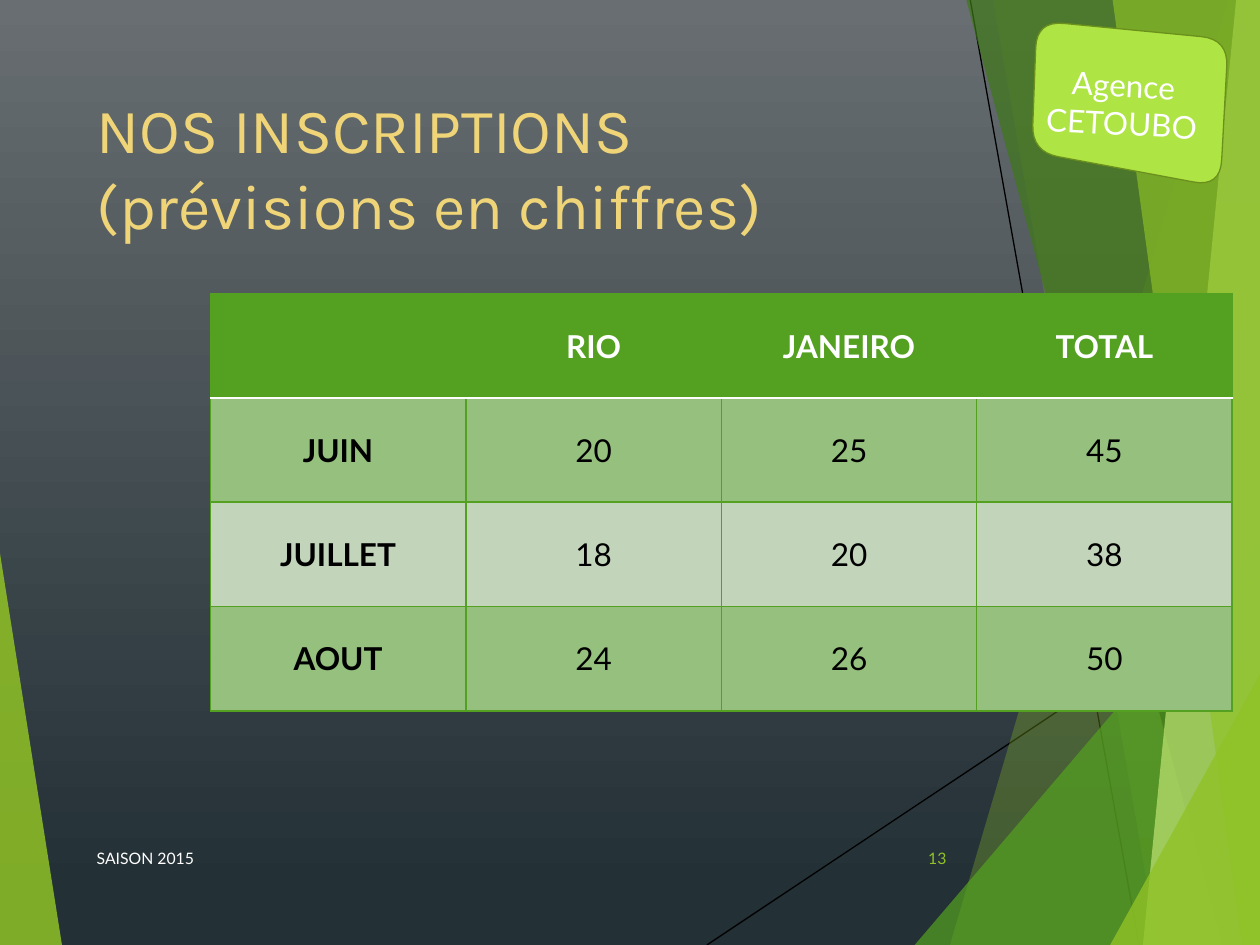
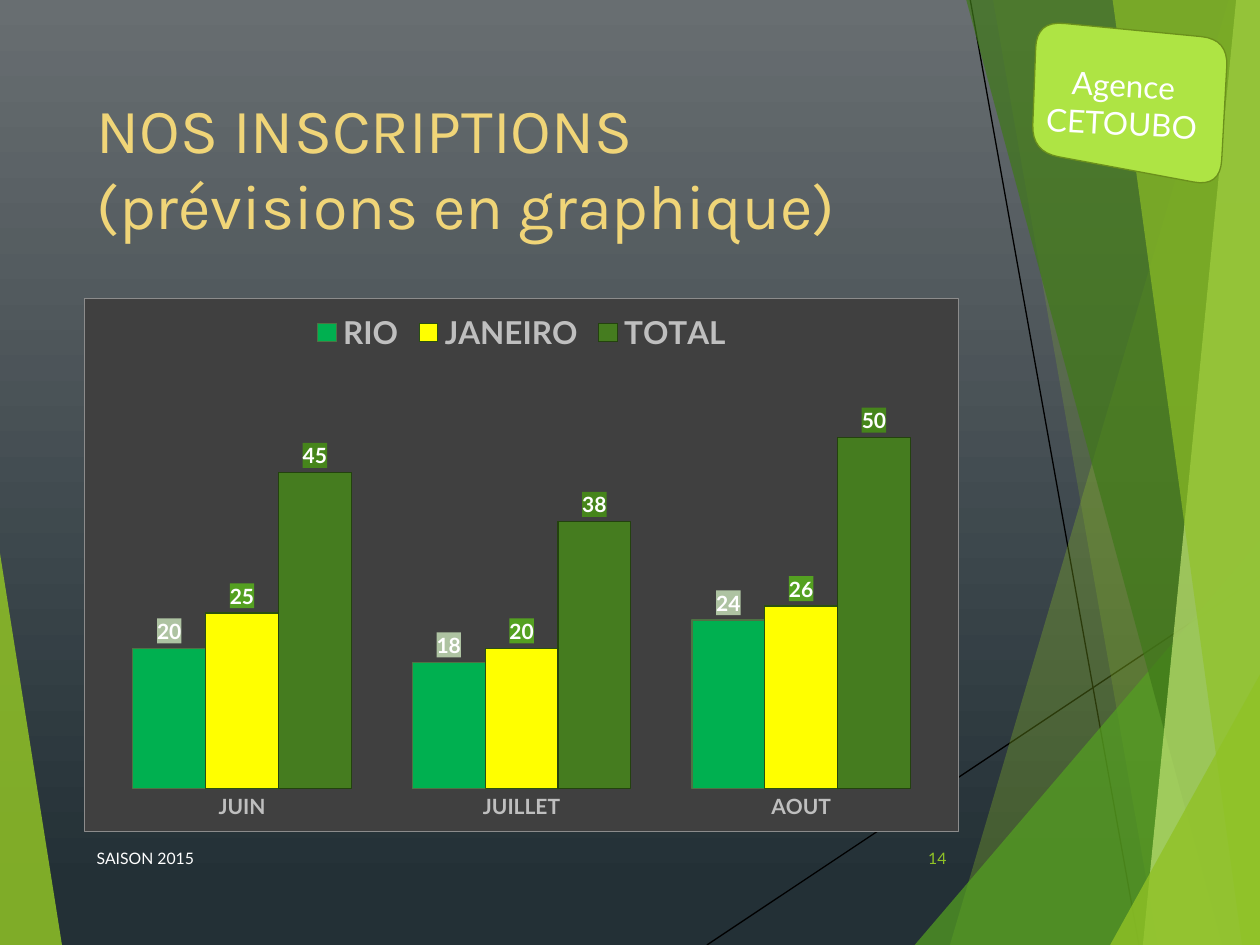
from collections import namedtuple

from lxml import etree
from pptx import Presentation
from pptx.chart.data import CategoryChartData
from pptx.dml.color import RGBColor
from pptx.enum import chart as charts, shapes, text
from pptx.oxml import parse_xml
from pptx.oxml.ns import nsdecls, qn
from pptx.util import Cm, Pt

Box = namedtuple("Box", "left top width height")

WIDTH, HEIGHT = 25.4, 19.05
TITLE_BOX = Box(1.7, 1.7, 17.63, 3.66)
BADGE_BOX = Box(20.8, 0.42, 3.96, 3.35)
FOOTER_BOX = Box(1.7, 16.79, 17.63, 1.02)
TABLE_BOX = Box(4.24, 5.92, 20.6, 8.41)
CHART_BOX = Box(1.7, 6.0, 17.63, 10.77)

TITLE_FONT, BODY_FONT = "Karla", "Lato"

WHITE = RGBColor(0xFF, 0xFF, 0xFF)
BLACK = RGBColor(0, 0, 0)
SKY = RGBColor(0x68, 0x6E, 0x71)
NIGHT = RGBColor(0x23, 0x30, 0x36)
GOLD = RGBColor(0xF0, 0xD5, 0x78)
LIME = RGBColor(0x90, 0xC2, 0x26)
GREEN = RGBColor(0x54, 0xA0, 0x21)
FOREST = RGBColor(0x3F, 0x78, 0x19)
PALE_LIME = RGBColor(0xC0, 0xE4, 0x74)
BADGE_FILL = RGBColor(0xAE, 0xE4, 0x44)
BADGE_LINE = RGBColor(0x6B, 0x90, 0x1C)
BAND_DARK = RGBColor(0x95, 0xC0, 0x7D)
BAND_LIGHT = RGBColor(0xC2, 0xD5, 0xBB)
CHART_FILL = RGBColor(0x40, 0x40, 0x40)
CHART_LINE = RGBColor(0x8C, 0x8C, 0x8C)
CHART_TEXT = RGBColor(0xBF, 0xBF, 0xBF)

# Fill, opacity in percent, corners in cm
LEFT_SHARD = (LIME, 85, [(0, 11.15), (1.25, HEIGHT), (0, HEIGHT)])
RIGHT_SHARDS = [
    (LIME, 30, [(24.77, 0), (19.15, HEIGHT)]),
    (LIME, 20, [(20.02, 0), (23.34, HEIGHT)]),
    (GREEN, 72, [(25.4, 10.9), (18.44, HEIGHT)]),
    (FOREST, 70, [(19.48, 0), (24.64, HEIGHT)]),
    (PALE_LIME, 70, [(24.92, 0), (23.04, HEIGHT)]),
    (LIME, 65, [(22.43, 0), (25.04, HEIGHT)]),
    (LIME, 80, [(25.4, 13.6), (22.38, HEIGHT)]),
]
RAYS = [(14.25, HEIGHT, WIDTH, 11.62), (19.56, 0, 22.96, HEIGHT)]

MONTHS = ["JUIN", "JUILLET", "AOUT"]
# Name, values, bar fill, bar line, label fill
SERIES = [
    ("RIO", [20, 18, 24], RGBColor(0x00, 0xB0, 0x50),
     RGBColor(0x4E, 0x72, 0x44), RGBColor(0xAE, 0xC3, 0xA2)),
    ("JANEIRO", [25, 20, 26], RGBColor(0xFF, 0xFF, 0x00),
     RGBColor(0x2A, 0x50, 0x10), GREEN),
    ("TOTAL", [45, 38, 50], RGBColor(0x45, 0x7C, 0x1F),
     RGBColor(0x23, 0x42, 0x0E), RGBColor(0x46, 0x85, 0x1B)),
]


def in_cm(values):
    return [Cm(value) for value in values]


def style_font(font, size, colour, bold=False, name=BODY_FONT):
    font.size, font.bold, font.name = Pt(size), bold, name
    font.color.rgb = colour


def add_text(slide, box, content, size, colour, name=BODY_FONT,
             align=text.PP_ALIGN.LEFT, anchor=text.MSO_ANCHOR.MIDDLE):
    shape = slide.shapes.add_textbox(*in_cm(box))
    frame = shape.text_frame
    frame.word_wrap = True
    frame.vertical_anchor = anchor
    paragraph = frame.paragraphs[0]
    paragraph.text = content
    paragraph.alignment = align
    style_font(paragraph.font, size, colour, name=name)
    return shape


def add_polygon(slide, points, colour, opacity=100):
    points = [in_cm(point) for point in points]
    builder = slide.shapes.build_freeform(*points[0])
    builder.add_line_segments(points[1:], close=True)
    shape = builder.convert_to_shape()
    shape.shadow.inherit = False
    shape.fill.solid()
    shape.fill.fore_color.rgb = colour
    shape.line.fill.background()
    if opacity < 100:
        fill_colour = shape._element.spPr.find(".//" + qn("a:srgbClr"))
        etree.SubElement(fill_colour, qn("a:alpha"), val=str(opacity * 1000))
    return shape


def add_backdrop(slide):
    fill = slide.background.fill
    fill.gradient()
    fill.gradient_angle = 270
    for stop, colour, position in zip(fill.gradient_stops, (SKY, NIGHT), (0, 0.94)):
        stop.color.rgb = colour
        stop.position = position

    colour, opacity, points = LEFT_SHARD
    add_polygon(slide, points, colour, opacity)
    for ray in RAYS:
        line = slide.shapes.add_connector(shapes.MSO_CONNECTOR.STRAIGHT, *in_cm(ray))
        line.line.color.rgb = BLACK
        line.line.width = Pt(0.75)
        etree.SubElement(line._element.spPr, qn("a:effectLst"))
    for colour, opacity, (top, bottom) in RIGHT_SHARDS:
        edge = [(WIDTH, HEIGHT), (WIDTH, top[1])]
        add_polygon(slide, [top, bottom] + edge, colour, opacity)


def round_corners(corners, radius, steps=8):
    """Replace each corner by points along a quadratic curve."""
    points = []
    for index, (x, y) in enumerate(corners):
        ends = []
        for other_x, other_y in (corners[index - 1], corners[(index + 1) % len(corners)]):
            dx, dy = other_x - x, other_y - y
            share = radius / (dx * dx + dy * dy) ** 0.5
            ends.append((x + dx * share, y + dy * share))
        for step in range(steps + 1):
            t = step / steps
            points.append(tuple(
                (1 - t) ** 2 * start + 2 * t * (1 - t) * middle + t * t * end
                for start, middle, end in zip(ends[0], (x, y), ends[1])))
    return points


def add_badge(slide, box):
    corners = [(0.1, 0), (box.width, 0.37), (3.8, box.height), (0, 2.64)]
    corners = [(box.left + x, box.top + y) for x, y in corners]
    plate = add_polygon(slide, round_corners(corners, 0.55), BADGE_FILL)
    plate.line.color.rgb = BADGE_LINE
    plate.line.width = Pt(0.75)
    label = add_text(slide, box._replace(left=box.left - 0.15), "Agence CETOUBO",
                     18, WHITE, align=text.PP_ALIGN.CENTER)
    label.rotation = 3


def add_footer(slide, box, number):
    add_text(slide, box._replace(width=12.85), "SAISON 2015", 9, WHITE)
    number_width = 1.42
    number_box = box._replace(left=box.left + box.width - number_width, width=number_width)
    add_text(slide, number_box, str(number), 9, LIME, align=text.PP_ALIGN.RIGHT)


def add_base_slide(presentation, title, number):
    slide = presentation.slides.add_slide(presentation.slide_layouts[6])
    add_backdrop(slide)
    add_badge(slide, BADGE_BOX)
    add_text(slide, TITLE_BOX, title, 36, GOLD, TITLE_FONT, anchor=text.MSO_ANCHOR.TOP)
    add_footer(slide, FOOTER_BOX, number)
    return slide


def line_xml(tag, colour, width):
    return (f'<{tag} {nsdecls("a")} w="{Pt(width)}"><a:solidFill>'
            f'<a:srgbClr val="{colour}"/></a:solidFill></{tag}>')


def set_borders(cell, row):
    properties = cell._tc.get_or_add_tcPr()
    for side in "LRTB":
        under_header = (row, side) in ((0, "B"), (1, "T"))
        colour, width = (WHITE, 1.5) if under_header else (GREEN, 1)
        properties.append(parse_xml(line_xml("a:ln" + side, colour, width)))


def add_bookings_table(slide, box):
    rows = [[""] + [series[0] for series in SERIES]]
    for index, month in enumerate(MONTHS):
        rows.append([month] + [str(series[1][index]) for series in SERIES])
    table = slide.shapes.add_table(len(rows), len(rows[0]), *in_cm(box)).table
    table.first_row = table.horz_banding = False

    for row, values in enumerate(rows):
        fill = GREEN if row == 0 else (BAND_LIGHT, BAND_DARK)[row % 2]
        for column, value in enumerate(values):
            cell = table.cell(row, column)
            set_borders(cell, row)
            cell.fill.solid()
            cell.fill.fore_color.rgb = fill
            cell.vertical_anchor = text.MSO_ANCHOR.MIDDLE
            paragraph = cell.text_frame.paragraphs[0]
            paragraph.text = value
            paragraph.alignment = text.PP_ALIGN.CENTER
            style_font(paragraph.font, 18, BLACK if row else WHITE,
                       bold=row == 0 or column == 0)


def paint_chart_part(element, fill, line=""):
    """Give a chart part a fill, placed before its text properties."""
    element.find(qn("c:txPr")).addprevious(parse_xml(
        f'<c:spPr {nsdecls("c", "a")}><a:solidFill><a:srgbClr val="{fill}"/>'
        f'</a:solidFill>{line}</c:spPr>'))


def set_plot_layout(chart, **shares):
    plot_area = chart._chartSpace.chart.plotArea
    for old in plot_area.findall(qn("c:layout")):
        plot_area.remove(old)
    parts = "".join(f'<c:{key} val="{value}"/>' for key, value in shares.items())
    plot_area.insert(0, parse_xml(
        f'<c:layout {nsdecls("c")}><c:manualLayout><c:layoutTarget val="inner"/>'
        f'<c:xMode val="edge"/><c:yMode val="edge"/>{parts}</c:manualLayout></c:layout>'))


def add_bookings_chart(slide, box):
    data = CategoryChartData()
    data.categories = MONTHS
    for name, values, *_ in SERIES:
        data.add_series(name, values)
    chart = slide.shapes.add_chart(
        charts.XL_CHART_TYPE.COLUMN_CLUSTERED, *in_cm(box), data).chart
    chart.has_title = False
    style_font(chart.font, 10, WHITE)
    paint_chart_part(chart._chartSpace, CHART_FILL, line_xml("a:ln", CHART_LINE, 0.5))
    set_plot_layout(chart, x=0.02, y=0.13, w=0.96, h=0.79)

    chart.has_legend = True
    chart.legend.position = charts.XL_LEGEND_POSITION.TOP
    chart.legend.include_in_layout = False
    style_font(chart.legend.font, 18, CHART_TEXT, bold=True)

    months = chart.category_axis
    months.major_tick_mark = charts.XL_TICK_MARK.NONE
    months.format.line.fill.background()
    style_font(months.tick_labels.font, 12, CHART_TEXT, bold=True)
    scale = chart.value_axis
    scale.visible = scale.has_major_gridlines = False
    scale.minimum_scale, scale.maximum_scale = 0, 60

    plot = chart.plots[0]
    plot.gap_width, plot.overlap = 84, 0
    plot.vary_by_categories = False
    for series, (_, _, fill, line, label_fill) in zip(plot.series, SERIES):
        series.format.fill.solid()
        series.format.fill.fore_color.rgb = fill
        series.format.line.color.rgb = line
        series.format.line.width = Pt(0.75)
        labels = series.data_labels
        labels.show_value = True
        labels.position = charts.XL_LABEL_POSITION.OUTSIDE_END
        style_font(labels.font, 12, WHITE, bold=True)
        paint_chart_part(labels._element, label_fill)


def main():
    presentation = Presentation()
    presentation.slide_width, presentation.slide_height = Cm(WIDTH), Cm(HEIGHT)
    slide = add_base_slide(presentation, "NOS INSCRIPTIONS\v(prévisions en chiffres)", 13)
    add_bookings_table(slide, TABLE_BOX)
    slide = add_base_slide(presentation, "NOS INSCRIPTIONS (prévisions en graphique)", 14)
    add_bookings_chart(slide, CHART_BOX)
    presentation.save("out.pptx")


if __name__ == "__main__":
    main()
